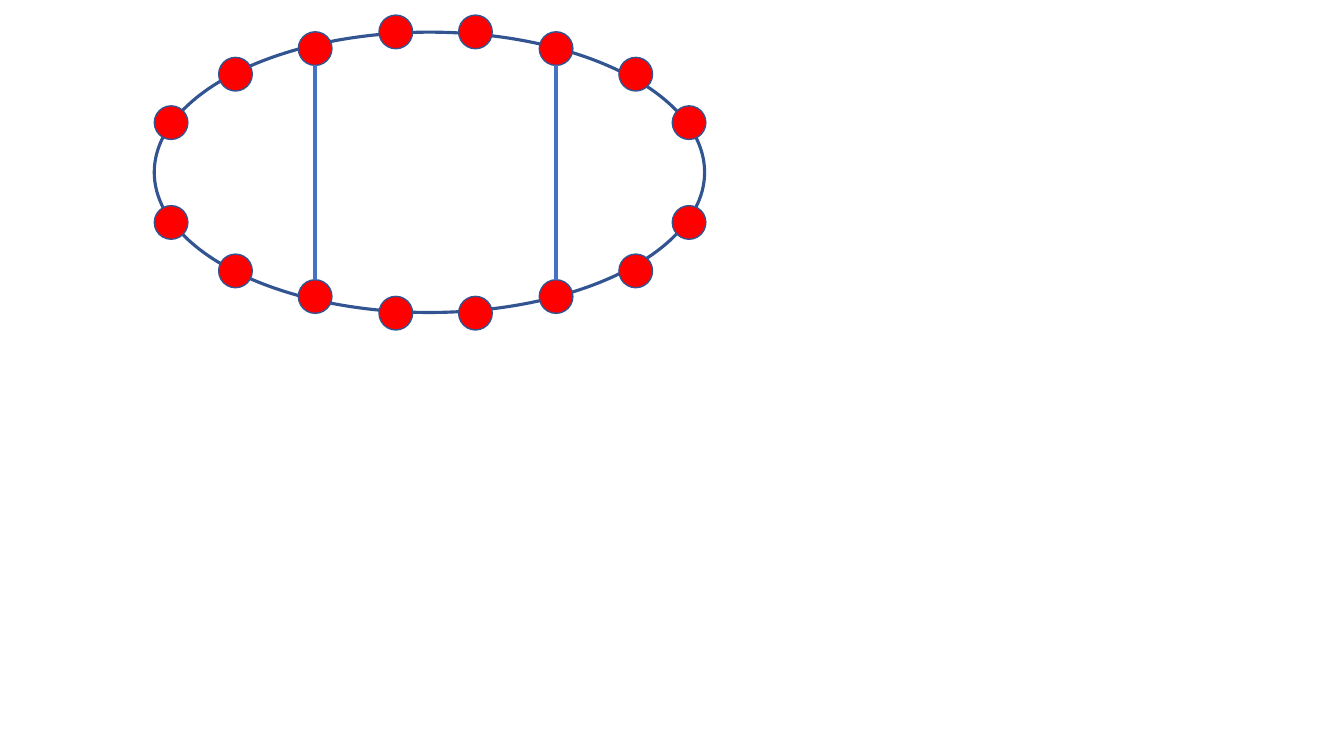
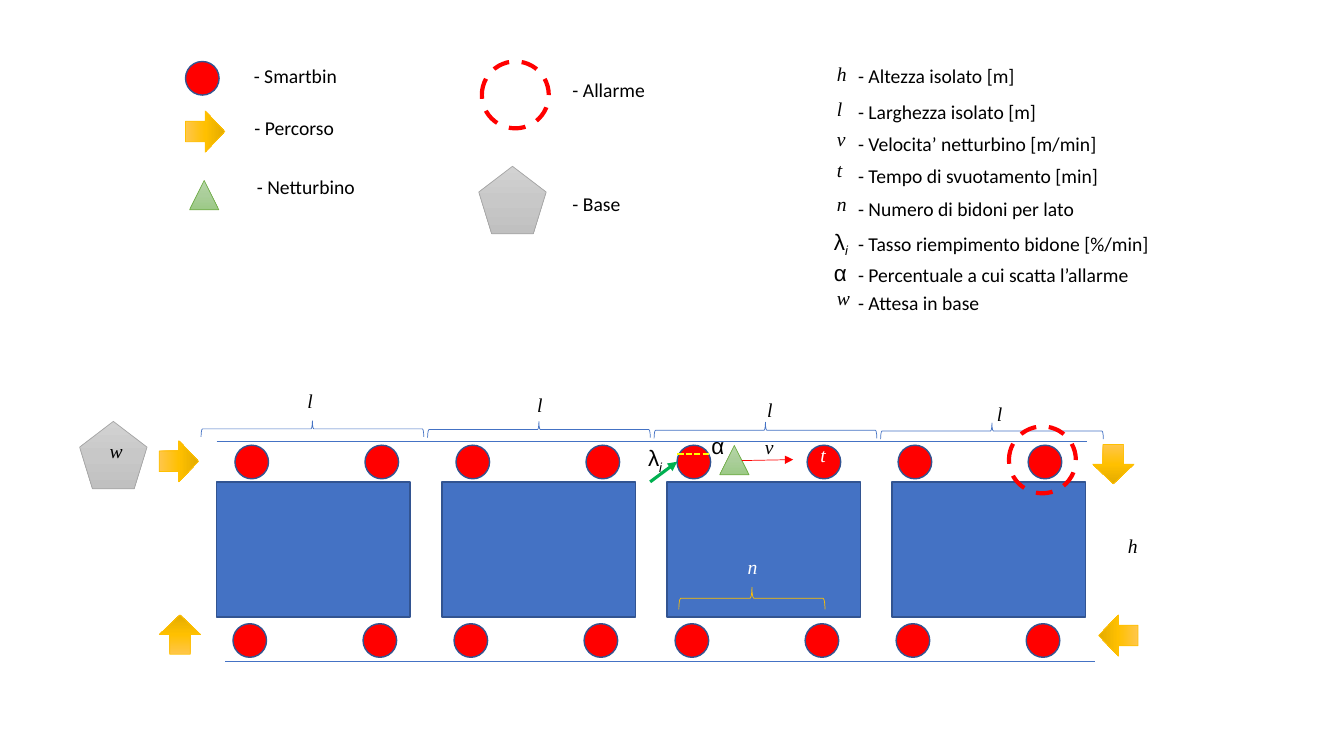
from copy import deepcopy
from dataclasses import dataclass

from lxml import etree
from pptx import Presentation
from pptx.dml.color import RGBColor
from pptx.enum.dml import MSO_LINE
from pptx.enum.shapes import MSO_CONNECTOR, MSO_SHAPE
from pptx.oxml.ns import qn
from pptx.util import Pt

OVAL, RECT = MSO_SHAPE.OVAL, MSO_SHAPE.RECTANGLE
ARROW, BRACE = MSO_SHAPE.DOWN_ARROW, MSO_SHAPE.RIGHT_BRACE
TRI, PENTA = MSO_SHAPE.ISOSCELES_TRIANGLE, MSO_SHAPE.REGULAR_PENTAGON
DASH, FINE = MSO_LINE.DASH, MSO_LINE.SQUARE_DOT
STRAIGHT = MSO_CONNECTOR.STRAIGHT


@dataclass(frozen=True)
class Theme:
    white: str = "FFFFFF"
    black: str = "000000"
    blue: str = "4472C4"
    navy: str = "325491"
    red: str = "FF0000"
    gold: str = "FFC000"
    green: str = "00B050"
    leaf: str = "70AD47"
    gray: str = "A5A5A5"
    yellow: str = "FFFF00"
    golds: tuple = ("FFC64B", "FFC000", "E3AB00")
    leaves: tuple = ("B5D5A7", "AACE9A", "9CC987")
    grays: tuple = ("D2D2D2", "C8C8C8", "C0C0C0")
    sans: str = "Calibri"
    serif: str = "Times New Roman"
    greek: str = "Arial"
    size: int = 14
    large: int = 16
    thin: float = 0.5
    bin: int = 24


class Deck:
    def __init__(self, theme):
        self.theme = theme
        self.prs = Presentation()
        self.prs.slide_width, self.prs.slide_height = Pt(960), Pt(540)

    def page(self):
        self.slide = self.prs.slides.add_slide(self.prs.slide_layouts[6])

    def shape(self, kind, x, y, w, h, fill, line, width=0.5, turn=0):
        """Draw a preset; fill is a colour, a tuple of three shades, or None."""
        item = self.slide.shapes.add_shape(kind, Pt(x), Pt(y), Pt(w), Pt(h))
        item.shadow.inherit = False
        item.rotation = turn
        if fill is None:
            item.fill.background()
        elif isinstance(fill, tuple):
            self.blend(item, fill)
        else:
            item.fill.solid()
            item.fill.fore_color.rgb = RGBColor.from_string(fill)
        item.line.color.rgb = RGBColor.from_string(line)
        item.line.width = Pt(width)
        return item

    def blend(self, item, shades):
        """Fill from top to bottom with three evenly spaced shades."""
        item.fill.gradient()
        item.fill.gradient_angle = 270
        stops = next(item._element.spPr.iter(qn("a:gsLst")))
        stops.insert(1, deepcopy(stops[0]))
        for i, (stop, shade) in enumerate(zip(item.fill.gradient_stops, shades)):
            stop.position = i / 2
            stop.color.rgb = RGBColor.from_string(shade)

    def line(self, x1, y1, x2, y2, color, width=0.5, dash=None, head=False):
        item = self.slide.shapes.add_connector(
            STRAIGHT, Pt(x1), Pt(y1), Pt(x2), Pt(y2))
        item.line.color.rgb = RGBColor.from_string(color)
        item.line.width = Pt(width)
        if dash:
            item.line.dash_style = dash
        if head:
            tail = etree.SubElement(item.line._get_or_add_ln(), qn("a:tailEnd"))
            tail.set("type", "triangle")
        etree.SubElement(item._element.spPr, qn("a:effectLst"))

    def text(self, x, y, words, w=223, face=None, size=None, color=None, slant=False):
        theme = self.theme
        box = self.slide.shapes.add_textbox(Pt(x), Pt(y), Pt(w), Pt(24.2))
        box.text_frame.word_wrap = True
        para = box.text_frame.paragraphs[0]
        para.text = words
        font = para.font
        font.name, font.size = face or theme.sans, Pt(size or theme.size)
        font.italic = slant
        font.color.rgb = RGBColor.from_string(color or theme.black)
        return para

    def sign(self, x, y, letter, color=None):
        """Write a variable in slanted serif type."""
        self.text(x, y, letter, 24, self.theme.serif, color=color, slant=True)

    def greek(self, x, y, letter, sub=""):
        para = self.text(x, y, letter, 29.5, self.theme.greek, self.theme.large)
        if sub:
            run = para.add_run()
            run.text = sub
            run.font.italic = True
            run._r.get_or_add_rPr().set("baseline", "-25000")

    def bin(self, x, y):
        theme = self.theme
        self.shape(OVAL, x, y, theme.bin, theme.bin, theme.red, theme.navy, 1)

    def arrow(self, x, y, turn):
        self.shape(ARROW, x, y, 29.5, 28.1, self.theme.golds, self.theme.gold, turn=turn)

    def worker(self, x, y):
        self.shape(TRI, x, y, 20.9, 20.9, self.theme.leaves, self.theme.leaf)

    def alarm(self, x, y):
        ring = self.shape(OVAL, x, y, 47.8, 47.8, None, self.theme.red, 3)
        ring.line.dash_style = DASH

    def base(self, x, y):
        self.shape(PENTA, x, y, 48.2, 48.2, self.theme.grays, self.theme.gray)

    def brace(self, x, y, w, h, color):
        """Lay a brace over the span x to x + w, tip up."""
        self.shape(BRACE, x + (w - h) / 2, y + (h - w) / 2, h, w, None, color, turn=270)


def ring(deck):
    theme = deck.theme
    deck.page()
    deck.shape(OVAL, 110.2, 23, 393.1, 200.2, theme.white, theme.navy, 2.25)
    cols = (110.2, 156.2, 213.1, 270.7, 327.6, 385.2, 442.1, 480.2)
    rise = (75.6, 41, 22.7, 10.8)
    flip = 222.5
    spots = list(zip(cols, rise + rise[::-1]))
    for x, y in spots:
        deck.bin(x, y)
        deck.bin(x, flip - y)
    for x, y in (spots[2], spots[5]):
        mid = x + theme.bin / 2
        deck.line(mid, y + theme.bin, mid, flip - y, theme.blue, 3)


def legend(deck):
    deck.bin(132.5, 43.9)
    deck.arrow(131.8, 79.9, 270)
    deck.worker(135.4, 128.9)
    deck.alarm(344.2, 43.9)
    deck.base(342, 118.8)
    for x, y, words in ((174.2, 41.8, "- Smartbin"), (174.6, 79.2, "- Percorso"),
                        (176.4, 121.3, "- Netturbino"), (401.8, 51.8, "- Allarme"),
                        (401.8, 133.2, "- Base")):
        deck.text(x, y, words, 159)
    for sign, y, words, top in (
            ("h", 41, "- Altezza isolato [m]", 41.8),
            ("l", 65.5, "- Larghezza isolato [m]", 67.7),
            ("v", 87.1, "- Velocita’ netturbino [m/min]", 90.7),
            ("t", 109.4, "- Tempo di svuotamento [min]", 113.8),
            ("n", 133.2, "- Numero di bidoni per lato", 136.8),
            ("λi", 159.1, "- Tasso riempimento bidone [%/min]", 162),
            ("α", 181.4, "- Percentuale a cui scatta l’allarme", 184.3),
            ("w", 200.9, "- Attesa in base", 204.5)):
        if sign[0] in "λα":
            deck.greek(588.6, y, sign[0], sign[1:])
        else:
            deck.sign(590.6, y, sign)
        deck.text(605.8, top, words)


def street(deck):
    theme = deck.theme
    for i in range(4):
        deck.shape(RECT, 154.8 + 160.8 * i, 344.2, 138.2, 96.5, theme.blue, theme.navy, 1)
        deck.brace(143.6 + 161.8 * i, 300.6 + 0.5 * i, 159.1, 11.5, theme.blue)
        deck.sign(212.4 + 164.2 * i, 274.3 + 3.1 * i, "l")
        for x, y in ((167.8, 318), (166.4, 445.5)):
            for gap in (0, 92.9):
                deck.bin(x + 157.9 * i + gap, y)
    for x, y in ((154.8, 315.4), (160.8, 472.3)):
        deck.line(x, y, x + 621.6, y, theme.blue)
    for x, y, turn in ((113, 315.4, 270), (780.5, 317.5, 0),
                       (784.1, 439.9, 90), (113.8, 439.2, 180)):
        deck.arrow(x, y, turn)
    deck.base(56.9, 301)
    deck.worker(514.1, 318.2)
    deck.alarm(720.7, 304.6)
    deck.brace(484.9, 419.4, 104.4, 15.8, theme.gold)
    deck.line(529.9, 329, 566.6, 328.3, theme.red, head=True)
    deck.line(464.4, 344.2, 483.8, 329.8, theme.green, 2.25, head=True)
    deck.line(483.8, 324, 507.6, 324, theme.yellow, 1.5, FINE)
    for x, y, sign, color in ((71.3, 310.3, "w", theme.black),
                              (798.5, 378, "h", theme.black),
                              (539.3, 307.4, "v", theme.black),
                              (578.9, 312.5, "t", theme.white),
                              (527, 393.1, "n", theme.white)):
        deck.sign(x, y, sign, color)
    deck.greek(455.8, 313.9, "λ", "i")
    deck.greek(501.1, 305.3, "α")


def main():
    deck = Deck(Theme())
    ring(deck)
    deck.page()
    legend(deck)
    street(deck)
    deck.prs.save("out.pptx")


if __name__ == "__main__":
    main()
